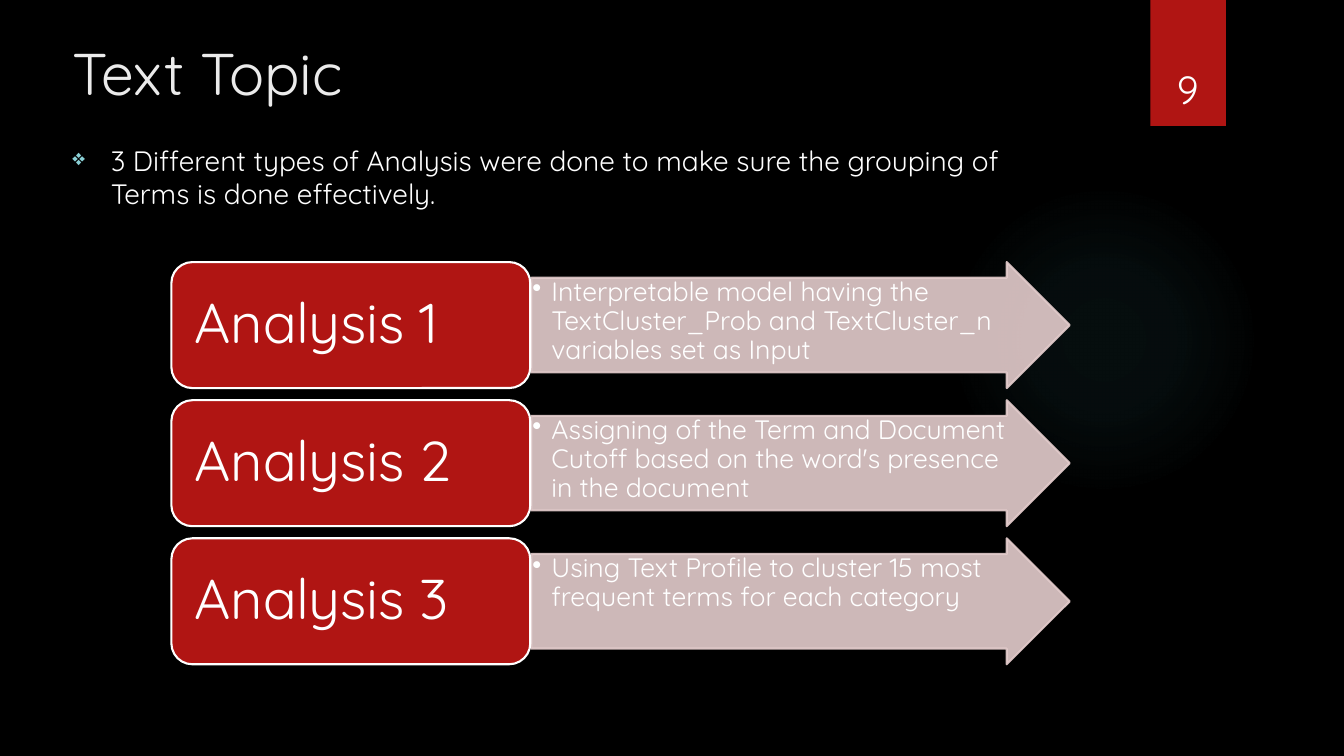
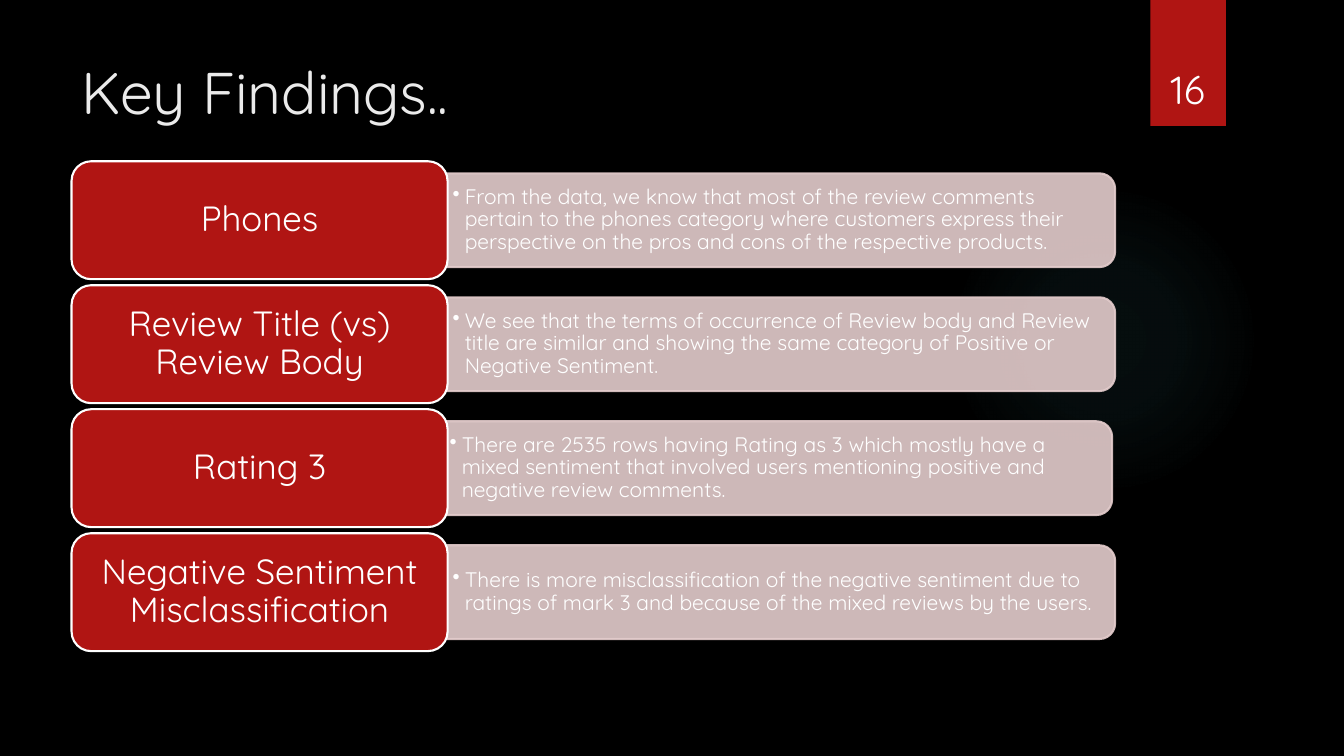
import pptx
import pptx.dml.color
import pptx.enum.shapes
import pptx.enum.text
import pptx.oxml
import pptx.oxml.ns
import pptx.util
from pptx.util import Inches

SHAPE = pptx.enum.shapes.MSO_SHAPE
ALIGN = pptx.enum.text.PP_ALIGN
ANCHOR = pptx.enum.text.MSO_ANCHOR

FONT = "Quicksand"
BLACK, WHITE, TITLE = "000000", "FFFFFF", "EBEBEB"
RED, PINK, BULLET, GLOW = "B01513", "E4CCCC", "8AD0D6", "50B9C1"

ANALYSES = [
    ("Analysis 1", "Interpretable model having the TextCluster_Prob and "
                   "TextCluster_n variables set as Input"),
    ("Analysis 2", "Assigning of the Term and Document Cutoff based on the "
                   "word's presence in the document"),
    ("Analysis 3", "Using Text Profile to cluster 15 most frequent terms for "
                   "each category"),
]

# Label, text, left edge of the bar
FINDINGS = [
    ("Phones", "From the data, we know that most of the review comments pertain "
               "to the phones category where customers express their perspective "
               "on the pros and cons of the respective products.", 4.43),
    ("Review Title (vs) Review Body",
     "We see that the terms of occurrence of Review body and Review title are "
     "similar and showing the same category of Positive or Negative Sentiment.", 4.43),
    ("Rating 3", "There are 2535 rows having Rating as 3 which mostly have a "
                 "mixed sentiment that involved users mentioning positive and "
                 "negative review comments.", 4.4),
    ("Negative Sentiment Misclassification",
     "There is more misclassification of the negative sentiment due to ratings "
     "of mark 3 and because of the mixed reviews by the users.", 4.43),
]


def color(value):
    return pptx.dml.color.RGBColor.from_string(value)


class Deck:
    """Holds the shared style and the current slide."""

    def __init__(self):
        self.presentation = pptx.Presentation()
        self.presentation.slide_width = Inches(13.33)
        self.presentation.slide_height = Inches(7.5)
        background = self.presentation.slide_master.background.fill
        background.solid()
        background.fore_color.rgb = color(BLACK)
        self.slide = None

    def new_slide(self, title, left, top, number):
        layout = self.presentation.slide_layouts[5]
        self.slide = self.presentation.slides.add_slide(layout)
        # Title
        shape = self.slide.shapes.title
        shape.left, shape.top = Inches(left), Inches(top)
        shape.width, shape.height = Inches(10.29), Inches(1.53)
        shape.text_frame.auto_size = pptx.enum.text.MSO_AUTO_SIZE.NONE
        self.set_text(shape, title, 42, TITLE)
        # Glow, ribbon and slide number
        self.glow()
        self.shape(SHAPE.RECTANGLE, 11.41, 0, 0.75, 1.25, RED)
        self.text(number, 11.32, 0.32, 0.92, 0.84, 28,
                  align=ALIGN.CENTER, anchor=ANCHOR.BOTTOM)

    def glow(self):
        shape = self.shape(SHAPE.OVAL, 9.41, 1.83, 3.08, 3.08, GLOW)
        stops = "".join(
            f'<a:gs pos="{position}000"><a:srgbClr val="{GLOW}">'
            f'<a:alpha val="{alpha}000"/></a:srgbClr></a:gs>'
            for position, alpha in ((0, 7), (36, 6), (69, 0)))
        gradient = pptx.oxml.parse_xml(
            f'<a:gradFill {pptx.oxml.ns.nsdecls("a")}><a:gsLst>{stops}</a:gsLst>'
            '<a:path path="circle"><a:fillToRect l="50000" t="50000" '
            'r="50000" b="50000"/></a:path></a:gradFill>')
        properties = shape._element.spPr
        solid = properties.find(pptx.oxml.ns.qn("a:solidFill"))
        properties.replace(solid, gradient)

    def shape(self, kind, left, top, width, height, fill, line=None, opacity=100):
        shape = self.slide.shapes.add_shape(
            kind, Inches(left), Inches(top), Inches(width), Inches(height))
        shape.shadow.inherit = False
        shape.fill.solid()
        shape.fill.fore_color.rgb = color(fill)
        if line:
            shape.line.color.rgb = color(line)
            shape.line.width = pptx.util.Pt(1.5)
        else:
            shape.line.fill.background()
        if opacity < 100:
            for node in shape._element.spPr.iter(pptx.oxml.ns.qn("a:srgbClr")):
                alpha = node.makeelement(pptx.oxml.ns.qn("a:alpha"),
                                         {"val": str(opacity * 1000)})
                node.append(alpha)
        return shape

    def set_text(self, shape, text, size, font_color=WHITE, align=ALIGN.LEFT,
                 anchor=ANCHOR.TOP, insets=(0.1, 0.05), spacing=None):
        frame = shape.text_frame
        frame.word_wrap = True
        frame.vertical_anchor = anchor
        frame.margin_left = frame.margin_right = Inches(insets[0])
        frame.margin_top = frame.margin_bottom = Inches(insets[1])
        paragraph = frame.paragraphs[0]
        paragraph.text = text
        paragraph.alignment = align
        paragraph.line_spacing = spacing
        paragraph.font.name = FONT
        paragraph.font.size = pptx.util.Pt(size)
        paragraph.font.color.rgb = color(font_color)
        return paragraph

    def text(self, text, left, top, width, height, size, **style):
        box = self.slide.shapes.add_textbox(
            Inches(left), Inches(top), Inches(width), Inches(height))
        return self.set_text(box, text, size, **style)

    def bullet(self, paragraph, indent, mark="•", mark_color=WHITE, percent=100):
        properties = paragraph._p.get_or_add_pPr()
        properties.set("marL", str(Inches(indent)))
        properties.set("indent", str(-Inches(indent)))
        namespace = pptx.oxml.ns.nsdecls("a")
        marks = [
            f'<a:buClr {namespace}><a:srgbClr val="{mark_color}"/></a:buClr>',
            f'<a:buSzPct {namespace} val="{percent}000"/>',
            f'<a:buChar {namespace} char="{mark}"/>',
        ]
        # Bullet settings stand before the default run properties
        defaults = properties.find(pptx.oxml.ns.qn("a:defRPr"))
        for xml in marks:
            defaults.addprevious(pptx.oxml.parse_xml(xml))

    def label(self, text, left, top, width, height, size, **style):
        shape = self.shape(SHAPE.ROUNDED_RECTANGLE, left, top, width, height,
                           RED, WHITE)
        self.set_text(shape, text, size, anchor=ANCHOR.MIDDLE, spacing=0.9, **style)

    def arrow(self, text, left, top, width, height):
        shape = self.shape(SHAPE.RIGHT_ARROW, left, top, width, height,
                           PINK, PINK, 90)
        shape.adjustments[0] = 0.75
        paragraph = self.set_text(shape, text, 19, insets=(0.01, 0.01), spacing=0.9)
        self.bullet(paragraph, 0.19)

    def bar(self, text, left, top, width, height):
        # Turned a quarter so that the rounded corners face right
        shift = (width - height) / 2
        shape = self.shape(SHAPE.ROUND_2_SAME_RECTANGLE, left + shift, top - shift,
                           height, width, PINK, PINK, 90)
        shape.rotation = 90
        paragraph = self.text(text, left, top + 0.05, width - 0.05, height - 0.1, 15,
                              anchor=ANCHOR.MIDDLE, insets=(0.06, 0.03), spacing=0.9)
        self.bullet(paragraph, 0.12)


def main():
    deck = Deck()

    # Text topic: three analyses with arrows
    deck.new_slide("Text Topic", 0.62, 0.31, "9")
    introduction = deck.text(
        "3 Different types of Analysis were done to make sure the grouping of "
        "Terms is done effectively.", 0.62, 1.37, 9.78, 1, 20)
    introduction.space_before = pptx.util.Pt(10)
    deck.bullet(introduction, 0.38, "❖", BULLET, 80)
    for row, (name, description) in enumerate(ANALYSES):
        top = 2.6 + 1.37 * row
        deck.arrow(description, 5.27, top, 5.34, 1.25)
        deck.label(name, 1.7, top, 3.56, 1.25, 40, insets=(0.17, 0.08))

    # Key findings: four labels with bars
    deck.new_slide("Key Findings..", 0.71, 0.5, "16")
    for row, (name, description, left) in enumerate(FINDINGS):
        top = 1.6 + 1.23 * row
        deck.bar(description, left, top + 0.12, 6.63, 0.93)
        deck.label(name, 0.71, top, 3.73, 1.17, 25, align=ALIGN.CENTER)

    deck.presentation.save("out.pptx")


if __name__ == "__main__":
    main()
